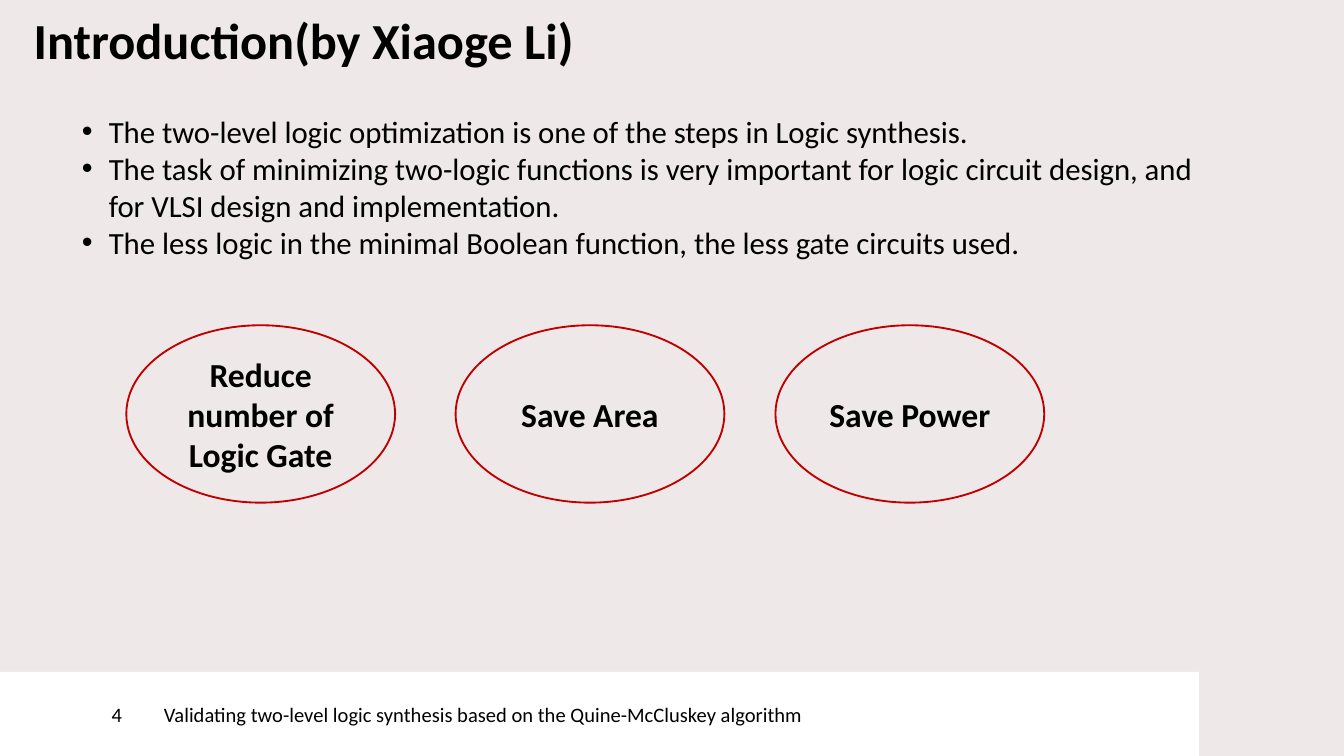
from lxml import etree
from pptx import Presentation
from pptx.dml.color import RGBColor
from pptx.enum.shapes import MSO_SHAPE
from pptx.enum.text import MSO_ANCHOR, MSO_AUTO_SIZE, PP_ALIGN
from pptx.oxml.ns import qn
from pptx.util import Inches, Pt

RECT, OVAL = MSO_SHAPE.RECTANGLE, MSO_SHAPE.OVAL
TOP, MIDDLE = MSO_ANCHOR.TOP, MSO_ANCHOR.MIDDLE
LEFT, CENTER = PP_ALIGN.LEFT, PP_ALIGN.CENTER
NO_FIT = MSO_AUTO_SIZE.NONE

BLACK = RGBColor(0x00, 0x00, 0x00)
WHITE = RGBColor(0xFF, 0xFF, 0xFF)
ROSE = RGBColor(0xEE, 0xE8, 0xE8)
RED = RGBColor(0xC0, 0x00, 0x00)


def style(frame, size, bold, align, anchor):
    frame.word_wrap = True
    frame.auto_size = NO_FIT
    frame.vertical_anchor = anchor
    for para in frame.paragraphs:
        para.alignment = align
        for run in para.runs:
            font = run.font
            font.name = "Calibri"
            font.size = Pt(size)
            font.bold = bold
            font.color.rgb = BLACK


def place(shape, left, top, width, height):
    shape.left, shape.top = Inches(left), Inches(top)
    shape.width, shape.height = Inches(width), Inches(height)
    frame = shape.text_frame
    frame.margin_left = frame.margin_right = 0
    frame.margin_top = frame.margin_bottom = 0


# Widescreen slide, 16 to 9
prs = Presentation()
prs.slide_width = Inches(10)
prs.slide_height = Inches(10 * 9 / 16)
slide = prs.slides.add_slide(prs.slide_layouts[1])
slide.background.fill.solid()
slide.background.fill.fore_color.rgb = ROSE

# Footer bar with slide number
bars = [
    (1.22, 7.7, 0, "Validating two-level logic synthesis based on "
                   "the Quine-McCluskey algorithm"),
    (0, 1.22, 0.83, "4"),
]
for left, width, inset, text in bars:
    bar = slide.shapes.add_shape(RECT, 0, 0, 0, 0)
    place(bar, left, 5, width, 0.63)
    bar.shadow.inherit = False
    bar.fill.solid()
    bar.fill.fore_color.rgb = WHITE
    bar.line.fill.background()
    bar.text_frame.margin_left = Inches(inset)
    bar.text_frame.text = text
    style(bar.text_frame, 11, False, LEFT, MIDDLE)

# Title
title = slide.shapes.title
place(title, 0.25, 0.14, 8.26, 0.59)
title.text_frame.text = "Introduction(by Xiaoge Li)"
title.text_frame.paragraphs[0].line_spacing = Pt(27)
style(title.text_frame, 27, True, LEFT, TOP)

# Bullet list
points = [
    "The two-level logic optimization is one of the steps in Logic synthesis.",
    "The task of minimizing two-logic functions is very important for logic "
    "circuit design, and for VLSI design and implementation.",
    "The less logic in the minimal Boolean function, the less gate circuits used.",
]
body = slide.placeholders[1]
place(body, 0.61, 0.56, 8.3, 1.38)
body.text_frame.margin_top = Inches(0.28)
body.text_frame.text = "\n".join(points)
style(body.text_frame, 16.5, False, LEFT, TOP)
for para in body.text_frame.paragraphs:
    para.level = 1
    para.space_before = para.space_after = Pt(0)
    props = para._p.get_or_add_pPr()
    props.set("marL", str(Inches(0.2)))
    props.set("indent", str(Inches(-0.2)))
    font = etree.SubElement(props, qn("a:buFont"))
    font.set("typeface", "Arial")
    mark = etree.SubElement(props, qn("a:buChar"))
    mark.set("char", "•")

# Benefit ovals
goals = [
    (0.94, "Reduce number of Logic Gate"),
    (3.39, "Save Area"),
    (5.77, "Save Power"),
]
for left, text in goals:
    oval = slide.shapes.add_shape(
        OVAL, Inches(left), Inches(2.42), Inches(2), Inches(1.32))
    oval.shadow.inherit = False
    oval.fill.solid()
    oval.fill.fore_color.rgb = ROSE
    oval.line.color.rgb = RED
    oval.line.width = Pt(1)
    oval.text_frame.text = text
    style(oval.text_frame, 18, True, CENTER, MIDDLE)

prs.save("out.pptx")
